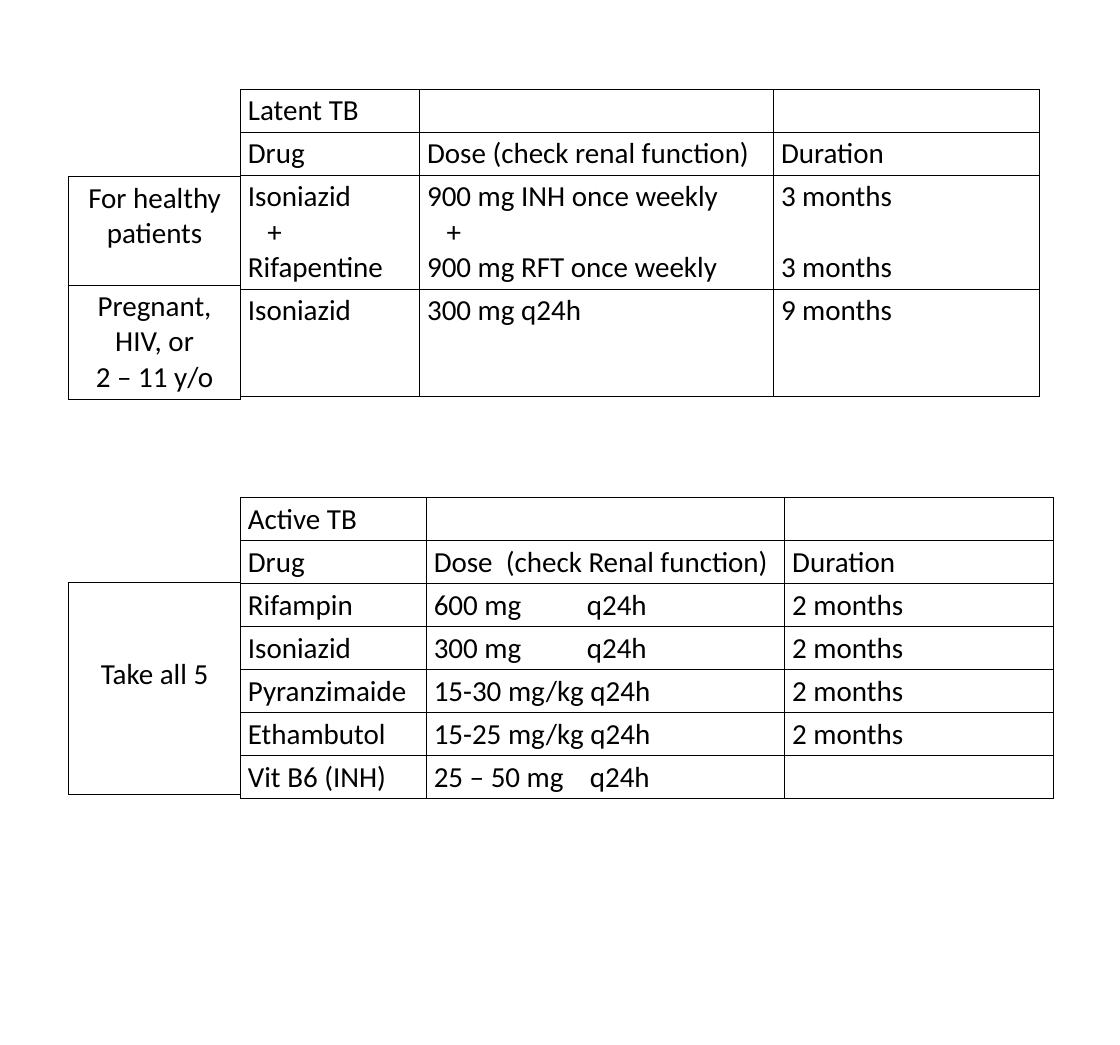
import pptx
import pptx.util
import pptx.dml.color
import pptx.enum.text
import pptx.oxml
import pptx.oxml.ns

Inches = pptx.util.Inches
Pt = pptx.util.Pt
ALIGN = pptx.enum.text.PP_ALIGN


def hue(code):
    return pptx.dml.color.RGBColor.from_string(code)


def write(cell, text, size=28, font="Calibri", color="000000", align=ALIGN.LEFT, top=0.05, gap=0):
    cell.margin_top = Inches(top)
    frame = cell.text_frame
    for i, line in enumerate(text.split("\n")):
        para = frame.paragraphs[0] if i == 0 else frame.add_paragraph()
        para.alignment = align
        if i and gap:
            para.space_before = Pt(gap)
        props = para._p.get_or_add_pPr()
        if line == "+":
            props.set("marL", str(Inches(0.26)))
            props.set("indent", "0")
        if "\t" in line:
            stop = 2.09 if "–" in line else 2.05
            props.append(pptx.oxml.parse_xml(
                f'<a:tabLst {pptx.oxml.ns.nsdecls("a")}><a:tab pos="{Inches(stop)}" algn="l"/></a:tabLst>'))
        run = para.add_run()
        run.text = line
        run.font.size = Pt(size)
        run.font.name = font
        run.font.color.rgb = hue(color)


active = [
    ["Active TB", "", ""],
    ["Drug", "Dose  (check Renal function)", "Duration"],
    ["Rifampin", "600 mg\tq24h", "2 months"],
    ["Isoniazid", "300 mg\tq24h", "2 months"],
    ["Pyranzimaide", "15-30 mg/kg q24h", "2 months"],
    ["Ethambutol", "15-25 mg/kg q24h", "2 months"],
    ["Vit B6 (INH)", "25 – 50 mg\tq24h", ""],
]
latent = [
    ["Latent TB", "", ""],
    ["Drug", "Dose (check renal function)", "Duration"],
    ["Isoniazid\n+\nRifapentine", "900 mg INH once weekly\n+\n900 mg RFT once weekly", "3 months\n3 months"],
    ["Isoniazid", "300 mg q24h", "9 months"],
]
mid = {"align": ALIGN.CENTER}
tables = [
    (3.22, 6.67, 3.97, [2.49, 4.8, 3.6], [0.41] * 7, active, {}),
    (3.22, 1.2, 4.07, [2.4, 4.74, 3.56], [0.41] * 3 + [1.43], latent, {}),
    (0.92, 7.8, 2.84, [2.3], [2.84], [["Take all 5"]], {**mid, "top": 1.0}),
    (0.92, 2.37, 1.45, [2.3], [1.45], [["For healthy patients"]], mid),
    (0.92, 3.82, 1.5, [2.3], [1.45], [["Pregnant,\nHIV, or\n2 – 11 y/o"]], mid),
]

deck = pptx.Presentation()
deck.slide_width = Inches(15)
deck.slide_height = Inches(14)
slide = deck.slides.add_slide(deck.slide_layouts[6])

for left, top, tall, wides, highs, rows, form in tables:
    shape = slide.shapes.add_table(
        len(highs), len(wides), Inches(left), Inches(top), Inches(sum(wides)), Inches(tall))
    grid = shape.table
    grid.first_row = False
    grid.horz_banding = False
    for col, wide in zip(grid.columns, wides):
        col.width = Inches(wide)
    for line, high in zip(grid.rows, highs):
        line.height = Inches(high)
    shape.height = Inches(tall)
    for r, texts in enumerate(rows):
        for c, text in enumerate(texts):
            cell = grid.cell(r, c)
            if text:
                write(cell, text, gap=34 if text.startswith("3 months") else 0, **form)
            props = cell._tc.get_or_add_tcPr()
            for side in ("lnL", "lnR", "lnT", "lnB"):
                props.append(pptx.oxml.parse_xml(
                    f'<a:{side} {pptx.oxml.ns.nsdecls("a")} w="{Pt(1)}"><a:solidFill>'
                    f'<a:srgbClr val="000000"/></a:solidFill></a:{side}>'))
            cell.fill.background()

deck.save("out.pptx")
